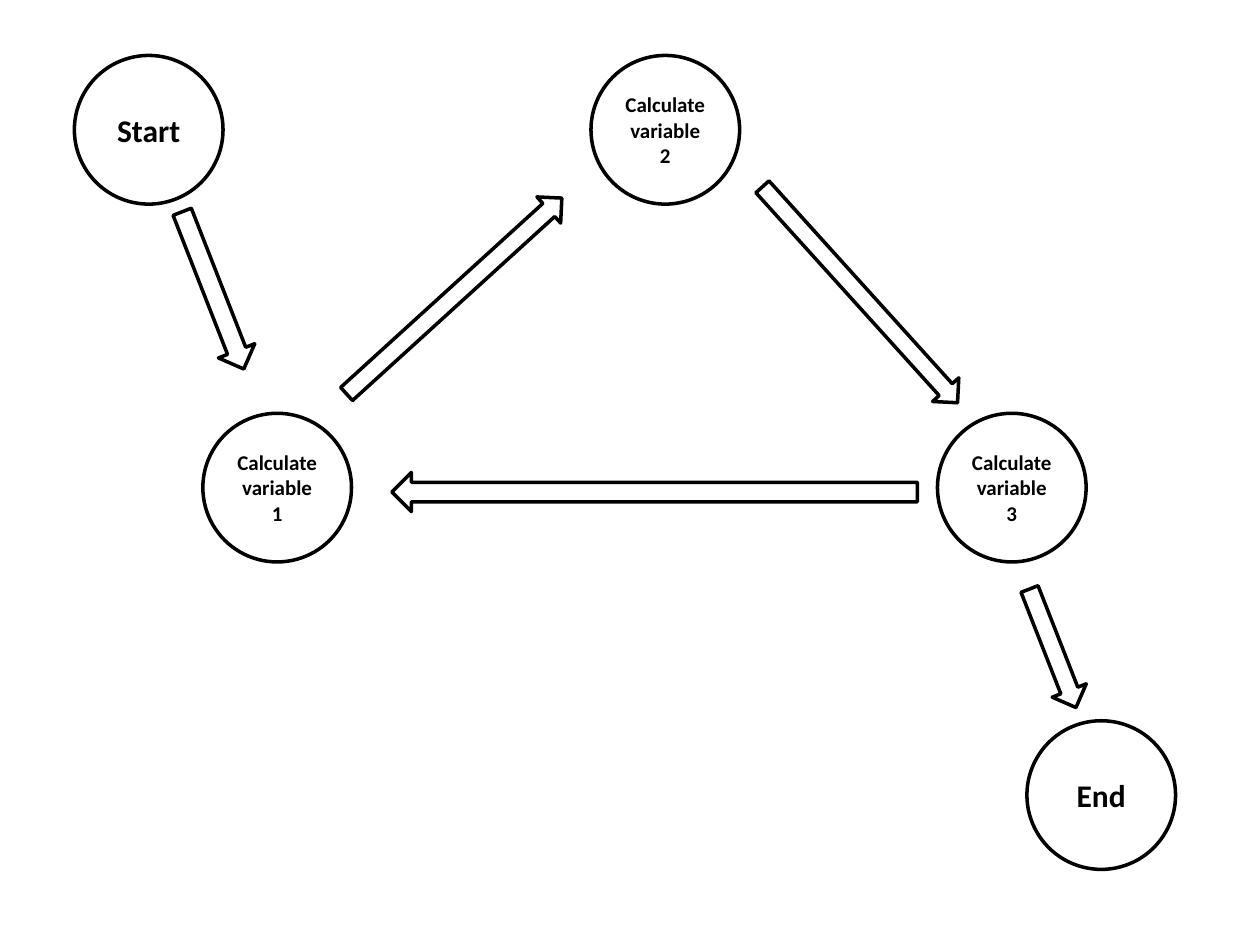
from pptx import Presentation
from pptx.dml.color import RGBColor
from pptx.enum.shapes import MSO_SHAPE
from pptx.enum.text import MSO_ANCHOR, PP_ALIGN
from pptx.util import Inches, Pt

CIRCLE = MSO_SHAPE.OVAL
ARROW = MSO_SHAPE.RIGHT_ARROW
MIDDLE = MSO_ANCHOR.MIDDLE
CENTER = PP_ALIGN.CENTER

COLORS = {"ink": "000000"}
FONT = "Calibri"
DIAMETER = 1.18
TEXT_INSET = 0.09
TOP_ROW, MIDDLE_ROW, BOTTOM_ROW = 0.44, 3.28, 5.72
END_SIZE, STEP_SIZE = 18, 12

STATES = [
    ("Start", 0.59, TOP_ROW, END_SIZE),
    ("Calculate variable 3", 7.44, MIDDLE_ROW, STEP_SIZE),
    ("Calculate variable 1", 1.61, MIDDLE_ROW, STEP_SIZE),
    ("Calculate variable 2", 4.69, TOP_ROW, STEP_SIZE),
    ("End", 8.15, BOTTOM_ROW, END_SIZE),
]

TRANSITIONS = [
    (1.02, 2.15, 1.34, 0.31, 68.6),
    (2.45, 2.21, 2.31, 0.28, 317.7),
    (3.11, 3.75, 4.17, 0.31, 180),
    (7.85, 5, 1.01, 0.29, 68.6),
    (5.67, 2.2, 2.31, 0.28, 47.9),
]


def add_outline(slide, kind, left, top, width, height):
    outline = slide.shapes.add_shape(
        kind, Inches(left), Inches(top), Inches(width), Inches(height))
    outline.shadow.inherit = False
    outline.fill.background()
    outline.line.color.rgb = RGBColor.from_string(COLORS["ink"])
    outline.line.width = Pt(2)
    return outline


def add_state(slide, label, left, top, size):
    state = add_outline(slide, CIRCLE, left, top, DIAMETER, DIAMETER)
    frame = state.text_frame
    frame.word_wrap = True
    frame.vertical_anchor = MIDDLE
    frame.margin_left = frame.margin_right = Inches(TEXT_INSET)
    paragraph = frame.paragraphs[0]
    paragraph.alignment = CENTER
    run = paragraph.add_run()
    run.text = label
    run.font.name = FONT
    run.font.size = Pt(size)
    run.font.bold = True
    run.font.color.rgb = RGBColor.from_string(COLORS["ink"])


def add_transition(slide, left, top, length, thickness, angle):
    transition = add_outline(slide, ARROW, left, top, length, thickness)
    transition.rotation = angle


def main():
    deck = Presentation()
    deck.slide_width = Inches(10)
    deck.slide_height = Inches(7.5)
    slide = deck.slides.add_slide(deck.slide_layouts[6])
    for state in STATES:
        add_state(slide, *state)
    for transition in TRANSITIONS:
        add_transition(slide, *transition)
    deck.save("out.pptx")


main()
